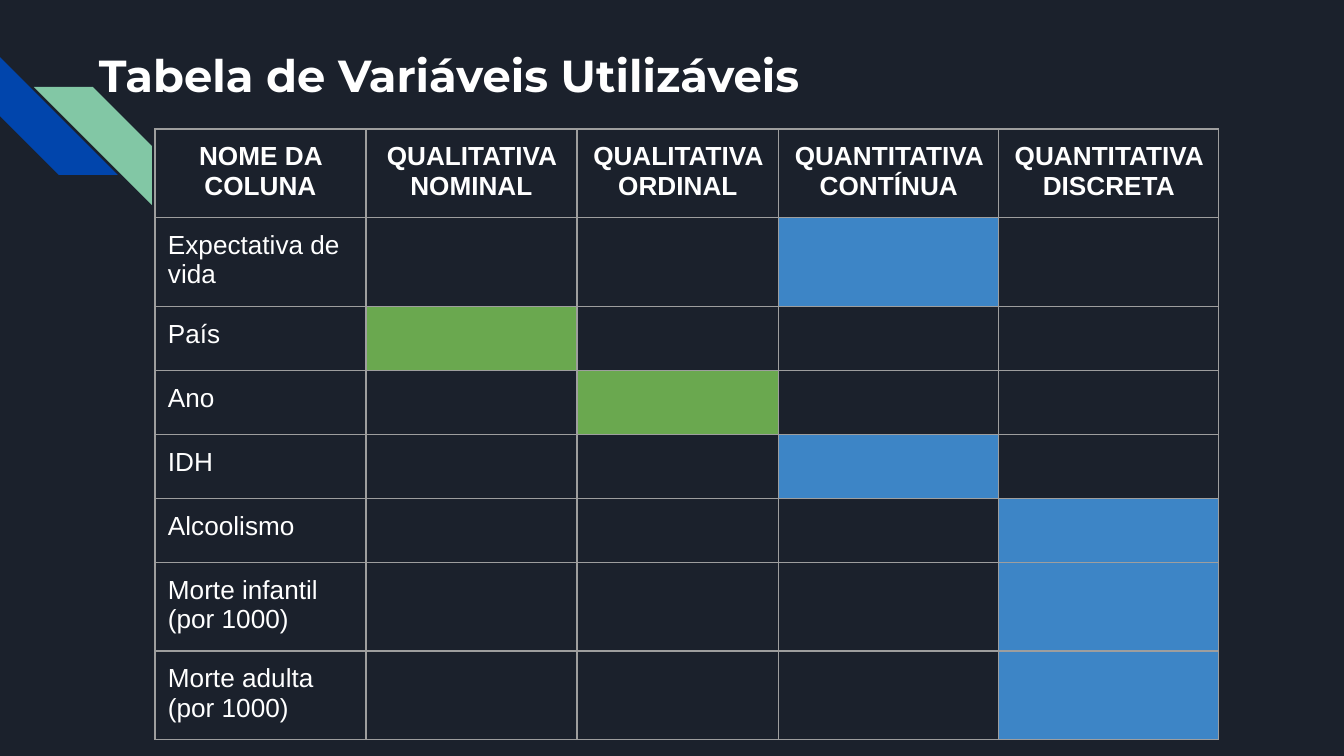
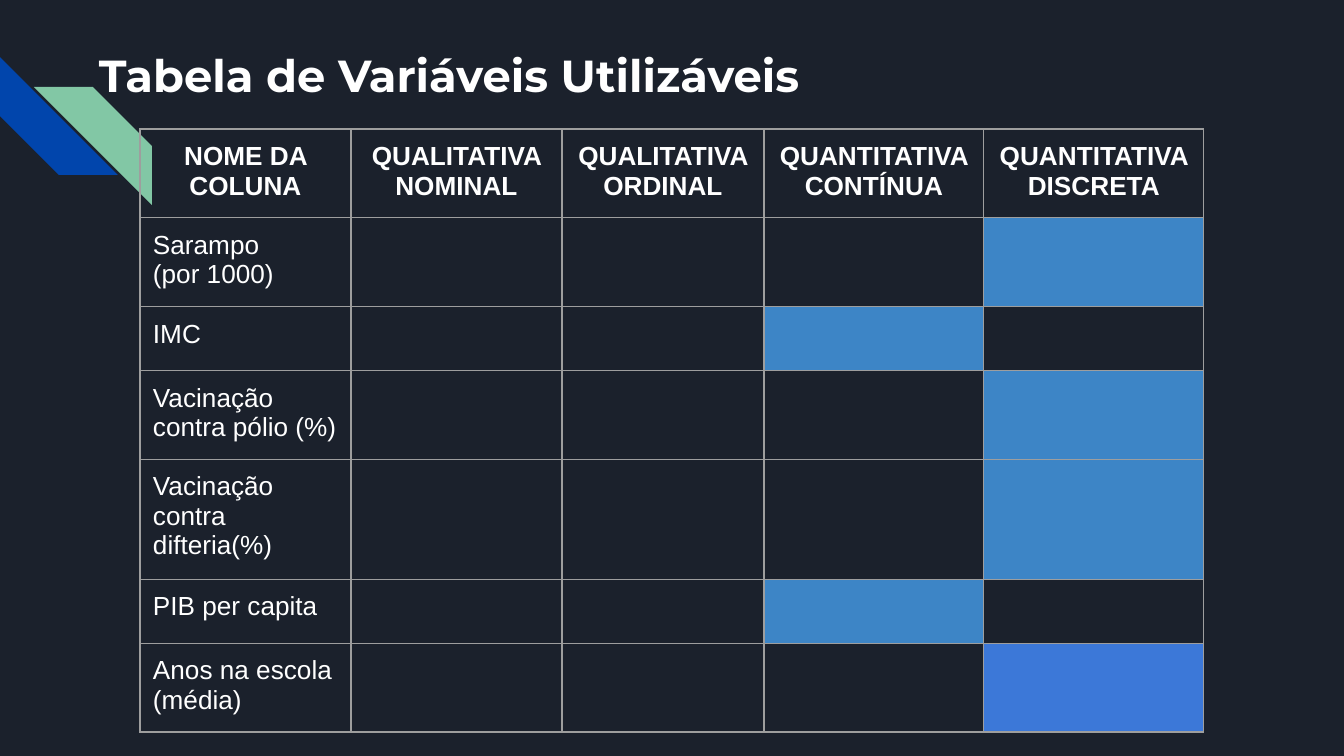
import pptx
import pptx.util
import pptx.dml.color
import pptx.enum.shapes
import pptx.enum.text
import pptx.oxml.ns
import lxml.etree

PX = 914400 / 134.4
COLORS = {
    "background": "1B212C",
    "white": "FFFFFF",
    "navy": "0145AC",
    "mint": "82C7A5",
    "grid": "9E9E9E",
    "green": "6AA84F",
    "blue": "3D85C6",
    "royal": "3C78D8",
}
INSET = 13
TITLE = "Tabela de Variáveis Utilizáveis"
HEADERS = ["NOME DA COLUNA", "QUALITATIVA NOMINAL", "QUALITATIVA ORDINAL",
           "QUANTITATIVA CONTÍNUA", "QUANTITATIVA DISCRETA"]
COLUMN_WIDTHS = [211, 211, 202, 220, 220]
ROW_HEIGHTS = {1: 64, 2: 85, 3: 115}  # by number of text lines
NOMINAL, ORDINAL, CONTINUOUS, DISCRETE = range(1, 5)

# Each variable: name, lines of text, marked column, mark colour
HEALTH_VARIABLES = [
    ("Expectativa de vida", 2, CONTINUOUS, "blue"),
    ("País", 1, NOMINAL, "green"),
    ("Ano", 1, ORDINAL, "green"),
    ("IDH", 1, CONTINUOUS, "blue"),
    ("Alcoolismo", 1, DISCRETE, "blue"),
    ("Morte infantil (por 1000)", 2, DISCRETE, "blue"),
    ("Morte adulta\n(por 1000)", 2, DISCRETE, "blue"),
]
SOCIAL_VARIABLES = [
    ("Sarampo\n(por 1000)", 2, DISCRETE, "blue"),
    ("IMC", 1, CONTINUOUS, "blue"),
    ("Vacinação contra pólio (%)", 2, DISCRETE, "blue"),
    ("Vacinação contra difteria(%)", 3, DISCRETE, "blue"),
    ("PIB per capita", 1, CONTINUOUS, "blue"),
    ("Anos na escola (média)", 2, DISCRETE, "royal"),
]


def px(length):
    return pptx.util.Emu(round(length * PX))


def rgb(name):
    return pptx.dml.color.RGBColor.from_string(COLORS[name])


def add_element(parent, tag, **attributes):
    return lxml.etree.SubElement(parent, pptx.oxml.ns.qn(tag), attributes)


def style_text(frame, font_name, size, bold, align):
    for paragraph in frame.paragraphs:
        paragraph.alignment = align
        for run in paragraph.runs:
            run.font.name = font_name
            run.font.size = pptx.util.Pt(size)
            run.font.bold = bold
            run.font.color.rgb = rgb("white")


def set_margins(holder):
    holder.margin_left = holder.margin_right = px(INSET)
    holder.margin_top = holder.margin_bottom = px(INSET)


def add_stripes(slide, left, top, size):
    """Two crossing diagonal stripes at the left edge."""
    for color, dx, dy, rotation in (("navy", 0, 0, 270), ("mint", 34, 30, 0)):
        stripe = slide.shapes.add_shape(
            pptx.enum.shapes.MSO_SHAPE.DIAGONAL_STRIPE,
            px(left + dx), px(top + dy), px(size), px(size))
        stripe.shadow.inherit = False
        stripe.adjustments[0] = 0.5
        stripe.fill.solid()
        stripe.fill.fore_color.rgb = rgb(color)
        stripe.line.fill.background()
        stripe.rotation = rotation
        if not rotation:
            stripe._element.spPr.xfrm.set("flipH", "1")


def add_title(slide, left, top, width, height):
    frame = slide.shapes.add_textbox(px(left), px(top), px(width), px(height)).text_frame
    frame.word_wrap = True
    frame.vertical_anchor = pptx.enum.text.MSO_ANCHOR.MIDDLE
    set_margins(frame)
    frame.text = TITLE
    style_text(frame, "Montserrat", 24, True, pptx.enum.text.PP_ALIGN.LEFT)


def add_borders(cell):
    properties = cell._tc.get_or_add_tcPr()
    for side in ("a:lnL", "a:lnR", "a:lnT", "a:lnB"):
        border = add_element(properties, side, w=str(pptx.util.Pt(0.75)))
        add_element(add_element(border, "a:solidFill"), "a:srgbClr", val=COLORS["grid"])


def fill_cell(cell, text, header, mark):
    set_margins(cell)
    add_borders(cell)
    if mark:
        cell.fill.solid()
        cell.fill.fore_color.rgb = rgb(mark)
    else:
        cell.fill.background()
    if text:
        cell.text_frame.text = text
        align = pptx.enum.text.PP_ALIGN.CENTER if header else pptx.enum.text.PP_ALIGN.LEFT
        style_text(cell.text_frame, "Arial", 14, header, align)
    else:
        # Keep empty cells from stretching their row
        add_element(cell.text_frame.paragraphs[0]._p, "a:endParaRPr", sz="1400")


def add_variable_table(slide, left, top, variables):
    heights = [ROW_HEIGHTS[2]] + [ROW_HEIGHTS[lines] for _, lines, _, _ in variables]
    table = slide.shapes.add_table(
        len(heights), len(HEADERS), px(left), px(top),
        px(sum(COLUMN_WIDTHS)), px(sum(heights))).table
    table.horz_banding = False
    table.first_row = False
    for column, width in zip(table.columns, COLUMN_WIDTHS):
        column.width = px(width)
    for row, height in zip(table.rows, heights):
        row.height = px(height)

    for column, header in enumerate(HEADERS):
        fill_cell(table.cell(0, column), header, True, None)
    for row, (name, _, marked, color) in enumerate(variables, start=1):
        for column in range(len(HEADERS)):
            fill_cell(table.cell(row, column), "" if column else name, False,
                      color if column == marked else None)


def add_variable_slide(deck, table_left, variables):
    slide = deck.slides.add_slide(deck.slide_layouts[6])
    slide.background.fill.solid()
    slide.background.fill.fore_color.rgb = rgb("background")
    add_stripes(slide, 0, 57, 118)
    add_title(slide, 86, 32, 1253, 85)
    add_variable_table(slide, table_left, 129, variables)


def main():
    deck = pptx.Presentation()
    deck.slide_width, deck.slide_height = px(1344), px(756)
    add_variable_slide(deck, 155, HEALTH_VARIABLES)
    add_variable_slide(deck, 140, SOCIAL_VARIABLES)
    deck.save("out.pptx")


if __name__ == "__main__":
    main()
